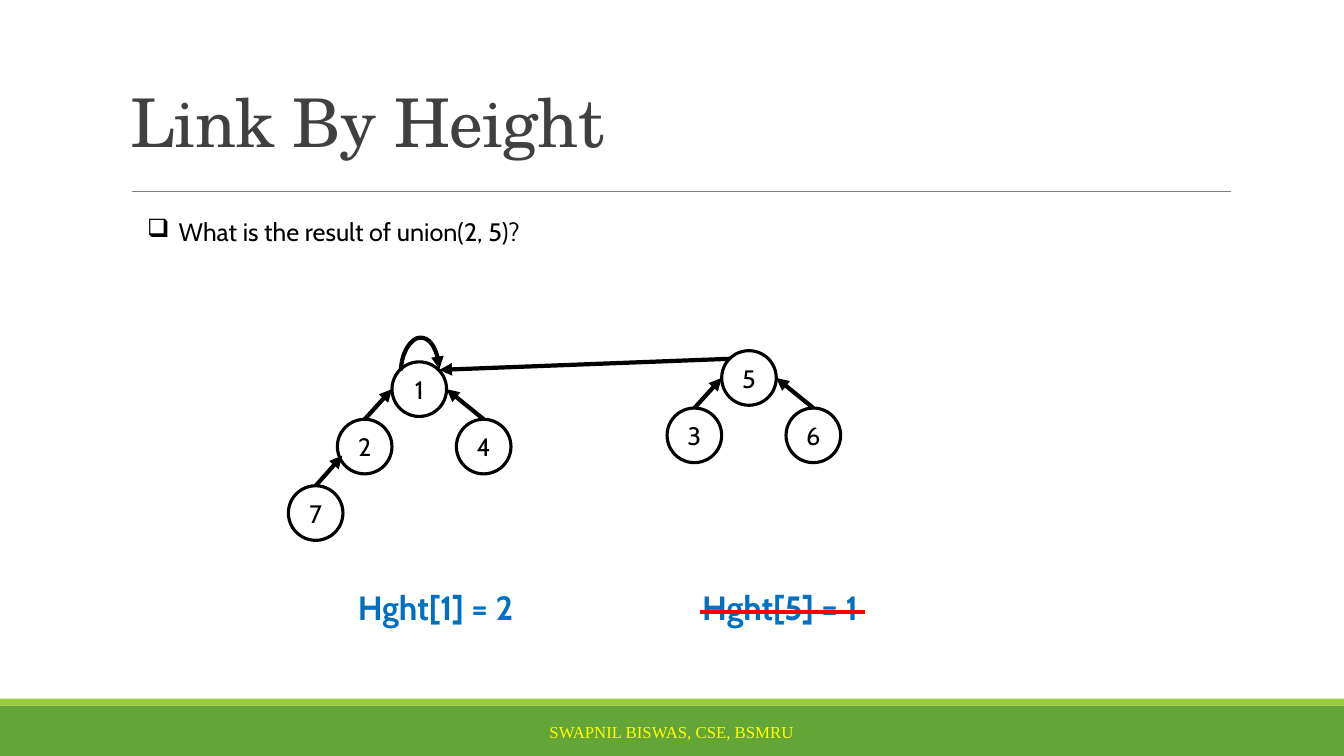
from dataclasses import dataclass, field

from lxml import etree
from pptx import Presentation
from pptx.dml.color import RGBColor
from pptx.enum.shapes import MSO_CONNECTOR, MSO_SHAPE
from pptx.enum.text import MSO_ANCHOR, PP_ALIGN
from pptx.oxml.ns import qn
from pptx.util import Pt

STRAIGHT, CURVE = MSO_CONNECTOR.STRAIGHT, MSO_CONNECTOR.CURVE
RECT, OVAL = MSO_SHAPE.RECTANGLE, MSO_SHAPE.OVAL
TOP, MIDDLE, BOTTOM = MSO_ANCHOR.TOP, MSO_ANCHOR.MIDDLE, MSO_ANCHOR.BOTTOM
LEFT, CENTER = PP_ALIGN.LEFT, PP_ALIGN.CENTER


@dataclass(frozen=True)
class Theme:
    black: str = "000000"
    title: str = "404040"
    rule: str = "808080"
    blue: str = "0070C0"
    red: str = "FF0000"
    yellow: str = "FFFF00"
    green: str = "63A537"
    lime: str = "99CB38"
    body_font: str = "Cabin"
    title_font: str = "TeX Gyre Schola"
    footer_font: str = "Times New Roman"
    title_size: float = 48
    height_size: float = 24
    body_size: float = 18
    footer_size: float = 12
    node_line: float = 2.25
    arrow_line: float = 3


T = Theme()
NODE = 39  # node diameter


@dataclass
class Label:
    text: str
    box: tuple[float, float, float, float]
    font: dict = field(default_factory=dict)
    color: str = T.black
    anchor: MSO_ANCHOR = TOP
    align: PP_ALIGN = LEFT


@dataclass
class Node:
    key: str
    x: float
    y: float


@dataclass
class Link:
    child: str
    parent: str
    dx: float  # arrow tip, measured from the parent's corner
    dy: float


BODY = {"name": T.body_font, "size": Pt(T.body_size)}
HEIGHT = {"name": T.body_font, "size": Pt(T.height_size), "bold": True}
TITLE = {"name": T.title_font, "size": Pt(T.title_size)}
FOOTER = {"name": T.footer_font, "size": Pt(T.footer_size)}

TITLE_LABEL = Label("Link By Height", (86.4, 4.3, 792, 114.5), TITLE, T.title, BOTTOM)
QUESTION = Label("What is the result of union(2, 5)?", (98, 151, 301, 29), BODY)
LABELS = [
    Label("Hght[1] = 2", (248.5, 415.5, 139, 36), HEIGHT, T.blue),
    Label("Hght[5] = 1", (494.5, 415.5, 139, 36), HEIGHT, T.blue),
    Label("SWAPNIL BISWAS, CSE, BSMRU", (290, 508.5, 379.5, 29), FOOTER, T.yellow, MIDDLE, CENTER),
]


def family(root: Node, left: str, right: str) -> list[Node]:
    """A root with its two children at fixed offsets."""
    return [root, Node(left, root.x - 39, root.y + 41), Node(right, root.x + 46, root.y + 41)]


NODES = family(Node("1", 280, 258.5), "2", "4") + family(Node("5", 515.5, 250.5), "3", "6")
NODES.append(Node("7", 206, 347))
LINKS = [
    Link("2", "1", 0, NODE / 2),
    Link("4", "1", NODE, NODE / 2),
    Link("3", "5", 0, NODE / 2),
    Link("6", "5", NODE, NODE / 2),
    Link("7", "2", 3.5, 26),
]


def write(s, label: Label) -> None:
    tf = s.text_frame
    tf.word_wrap = True
    tf.vertical_anchor = label.anchor
    p = tf.paragraphs[0]
    p.alignment = label.align
    r = p.add_run()
    r.text = label.text
    for name, value in label.font.items():
        setattr(r.font, name, value)
    r.font.color.rgb = RGBColor.from_string(label.color)


def add_label(sp, label: Label):
    s = sp.add_textbox(*map(Pt, label.box))
    write(s, label)
    return s


def add_band(sp, top: float, height: float, color: str) -> None:
    s = sp.add_shape(RECT, Pt(0), Pt(top), Pt(960), Pt(height))
    s.shadow.inherit = False
    s.fill.solid()
    s.fill.fore_color.rgb = RGBColor.from_string(color)
    s.line.fill.background()


def add_node(sp, node: Node):
    s = sp.add_shape(OVAL, Pt(node.x), Pt(node.y), Pt(NODE), Pt(NODE))
    s.shadow.inherit = False
    s.fill.background()
    s.line.color.rgb = RGBColor.from_string(T.black)
    s.line.width = Pt(T.node_line)
    tf = s.text_frame
    for side in ("left", "top", "right", "bottom"):
        setattr(tf, f"margin_{side}", 0)
    write(s, Label(node.key, (), BODY, T.black, MIDDLE, CENTER))
    return s


def add_line(sp, ends: tuple[float, float, float, float], color: str = T.black,
             width: float = T.arrow_line, arrow: bool = False, kind: MSO_CONNECTOR = STRAIGHT):
    s = sp.add_connector(kind, *map(Pt, ends))
    s.line.color.rgb = RGBColor.from_string(color)
    s.line.width = Pt(width)
    if arrow:
        etree.SubElement(s.line._get_or_add_ln(), qn("a:tailEnd"), type="triangle")
    etree.SubElement(s._element.spPr, qn("a:effectLst"))
    return s


def add_self_loop(sp, cx: float, cy: float, span: float) -> None:
    """A curved arrow turned a quarter so that it arches over the root."""
    s = add_line(sp, (cx + 0.5, cy + span / 2, cx - 0.5, cy - span / 2), arrow=True, kind=CURVE)
    s._element.spPr.find(qn("a:xfrm")).set("rot", "5400000")
    geom = s._element.spPr.find(qn("a:prstGeom"))
    guides = geom.get_or_add_avLst()
    etree.SubElement(guides, qn("a:gd"), name="adj1", fmla="val 2371600")


def main() -> None:
    prs = Presentation()
    prs.slide_width, prs.slide_height = Pt(960), Pt(540)
    sp = prs.slides.add_slide(prs.slide_layouts[6]).shapes

    # Footer bands and title rule
    add_band(sp, 504, 36, T.green)
    add_band(sp, 499, 5, T.lime)
    add_line(sp, (94.5, 136.8, 879, 136.8), T.rule, 0.5)

    # Title
    s = add_label(sp, TITLE_LABEL)
    p = s.text_frame.paragraphs[0]
    p.line_spacing = 0.85
    p.runs[0].font._element.set("spc", "-50")

    # Question with a box bullet
    s = add_label(sp, QUESTION)
    pPr = s.text_frame.paragraphs[0]._p.get_or_add_pPr()
    pPr.set("marL", str(Pt(22.5)))
    pPr.set("indent", str(-Pt(22.5)))
    etree.SubElement(pPr, qn("a:buChar"), char="❑")

    # Trees
    add_self_loop(sp, 300.1, 264.2, 27.4)
    places = {node.key: node for node in NODES}
    ovals = {node.key: add_node(sp, node) for node in NODES}
    for link in LINKS:
        child, parent = places[link.child], places[link.parent]
        s = add_line(sp, (child.x + NODE / 2, child.y, parent.x + link.dx, parent.y + link.dy), arrow=True)
        s.begin_connect(ovals[link.child], 0)

    # Union link from root 5 to root 1
    add_line(sp, (521.3, 256.3, 313.9, 264.2), arrow=True)

    # Heights and footer, with the old height struck out
    for label in LABELS:
        add_label(sp, label)
    add_line(sp, (500, 437, 618, 437), T.red)

    prs.save("out.pptx")


if __name__ == "__main__":
    main()
